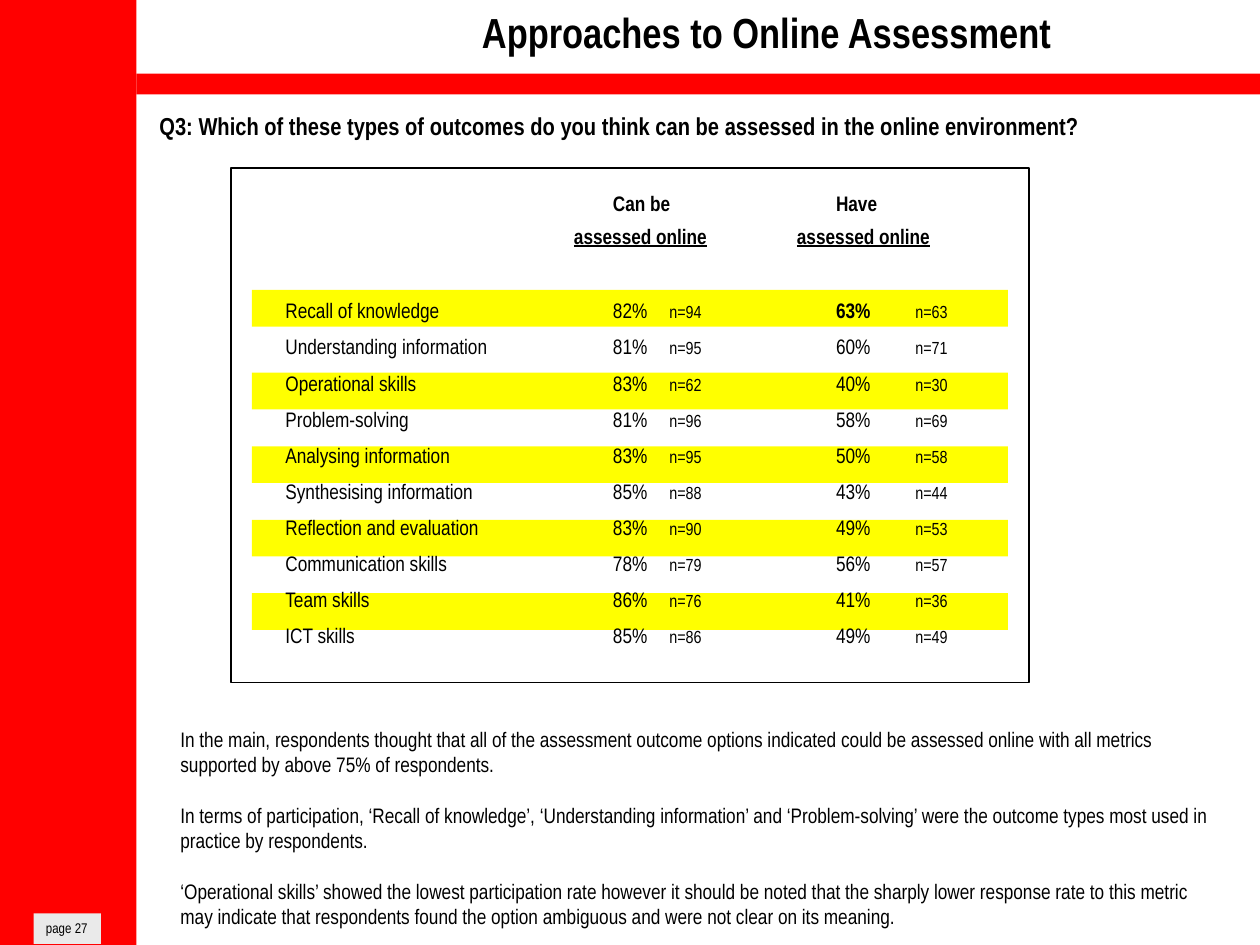
from lxml import etree
from pptx import Presentation
from pptx.dml.color import RGBColor
from pptx.enum.shapes import MSO_SHAPE
from pptx.enum.text import MSO_ANCHOR, MSO_AUTO_SIZE, PP_ALIGN
from pptx.oxml.ns import qn
from pptx.util import Inches, Pt

RECTANGLE = MSO_SHAPE.RECTANGLE
CENTER, LEFT = PP_ALIGN.CENTER, PP_ALIGN.LEFT
GROW, TOP = MSO_AUTO_SIZE.SHAPE_TO_FIT_TEXT, MSO_ANCHOR.TOP

COLORS = {"red": "FF0000", "yellow": "FFFF00", "label": "EAEAEA", "ink": "000000"}
FONT = "Arial Narrow"
UNIT = Inches(1) // 12  # grid of 120 columns by 90 rows
COLUMNS, ROWS = 120, 90
SIDEBAR = 13

# Tab stops of the results list, in inches
RESULT_TABS = (2.29, 2.6, 3.01, 4.06, 4.37, 5)
STRIPE_TOPS = [27.6] + [35.5 + 7 * step for step in range(4)]

PLAIN = {"size": Pt(12)}
COUNT = {"size": Pt(10)}
BOLD = {"size": Pt(12), "bold": True}
UNDERLINED = {**BOLD, "underline": True}

# Outcome, can be assessed online (share, n), have assessed online (share, n)
RESULTS = [
    ("Recall of knowledge", 82, 94, 63, 63),
    ("Understanding information", 81, 95, 60, 71),
    ("Operational skills", 83, 62, 40, 30),
    ("Problem-solving", 81, 96, 58, 69),
    ("Analysing information", 83, 95, 50, 58),
    ("Synthesising information", 85, 88, 43, 44),
    ("Reflection and evaluation", 83, 90, 49, 53),
    ("Communication skills", 78, 79, 56, 57),
    ("Team skills", 86, 76, 41, 36),
    ("ICT skills", 85, 86, 49, 49),
]

FINDINGS = [
    "In the main, respondents thought that all of the assessment outcome options "
    "indicated could be assessed online with all metrics supported by above 75% "
    "of respondents.",
    "In terms of participation, ‘Recall of knowledge’, ‘Understanding information’ "
    "and ‘Problem-solving’ were the outcome types most used in practice by "
    "respondents.",
    "‘Operational skills’ showed the lowest participation rate however it should be "
    "noted that the sharply lower response rate to this metric may indicate that "
    "respondents found the option ambiguous and were not clear on its meaning.",
]


def color(name):
    return RGBColor.from_string(COLORS[name])


def on_grid(*cells):
    return [round(cell * UNIT) for cell in cells]


def add_block(slide, cells, fill=None, line=None):
    block = slide.shapes.add_shape(RECTANGLE, *on_grid(*cells))
    block.shadow.inherit = False
    if fill:
        block.fill.solid()
        block.fill.fore_color.rgb = color(fill)
    else:
        block.fill.background()
    if line:
        block.line.color.rgb = color(line)
        block.line.width = Pt(0.75)
    else:
        block.line.fill.background()
    return block


def add_tabs(paragraph, stops):
    tab_list = etree.SubElement(paragraph._p.get_or_add_pPr(), qn("a:tabLst"))
    for stop in stops:
        etree.SubElement(tab_list, qn("a:tab"), pos=str(Inches(stop)), algn="l")


def add_run(paragraph, text, formats):
    run = paragraph.add_run()
    run.text = text
    run.font.name = FONT
    run.font.color.rgb = color("ink")
    for attribute, value in formats.items():
        setattr(run.font, attribute, value)


def write(frame, paragraphs, tabs=(), wrap=True):
    """Each paragraph is a list of (text, formats) and a dict of layout values."""
    frame.word_wrap = wrap
    frame.auto_size = GROW
    frame.vertical_anchor = TOP
    for index, (runs, layout) in enumerate(paragraphs):
        paragraph = frame.add_paragraph() if index else frame.paragraphs[0]
        if tabs:
            add_tabs(paragraph, tabs)
        for attribute, value in {"alignment": LEFT, **layout}.items():
            setattr(paragraph, attribute, value)
        for text, formats in runs:
            add_run(paragraph, text, formats)


def add_text(slide, cells, paragraphs, tabs=()):
    box = slide.shapes.add_textbox(*on_grid(*cells))
    write(box.text_frame, paragraphs, tabs)


def result_paragraphs():
    header = [
        ([("\t\tCan be \t\tHave", BOLD)], {"line_spacing": 0.8}),
        ([("\t", BOLD), ("assessed online", UNDERLINED),
          (" \t", BOLD), ("assessed online", UNDERLINED)],
         {"line_spacing": 0.8, "space_before": Pt(7.5)}),
    ]
    top_share = max(row[3] for row in RESULTS)
    rows = []
    for outcome, can, can_n, have, have_n in RESULTS:
        runs = [
            (f"{outcome}\t\t{can}%\t ", PLAIN),
            (f"n={can_n}", COUNT),
            (" \t\t", PLAIN),
            (f"{have}%\t", BOLD if have == top_share else PLAIN),
            (f"n={have_n}", COUNT),
        ]
        rows.append((runs, {"space_before": Pt(6.2 if rows else 28.2)}))
    return header + rows


def main():
    deck = Presentation()
    deck.slide_width, deck.slide_height = on_grid(COLUMNS, ROWS)
    slide = deck.slides.add_slide(deck.slide_layouts[6])

    # Highlight stripes behind the results
    for top in STRIPE_TOPS:
        add_block(slide, (24, top, 72, 3.5), "yellow")

    # Sidebar, title rule and page label
    add_block(slide, (0, 0, SIDEBAR, ROWS), "red")
    add_block(slide, (SIDEBAR, 7, COLUMNS - SIDEBAR, 2), "red")
    page_label = add_block(slide, (3.2, 87, 6.4, 2.9), "label")
    write(page_label.text_frame, [([("page 27", {"size": Pt(8)})], {})], wrap=False)

    # Title and question
    title = ("Approaches to Online Assessment", {"size": Pt(24), "bold": True})
    add_text(slide, (20, 0, 106, 6), [([title], {"alignment": CENTER})])
    question = ("Q3: Which of these types of outcomes do you think can be assessed "
                "in the online environment?", {"size": Pt(14), "bold": True})
    add_text(slide, (14, 10, 106, 4), [([question], {})])

    # Results and their frame
    add_text(slide, (26, 18, 93, 44.4), result_paragraphs(), RESULT_TABS)
    add_block(slide, (22, 16, 76, 49), line="ink")

    # Findings
    findings = [([(text, PLAIN)], {"space_before": Pt(14.5 if index else 0)})
                for index, text in enumerate(FINDINGS)]
    add_text(slide, (16, 68.6, 101, 20.4), findings)

    deck.save("out.pptx")


if __name__ == "__main__":
    main()
